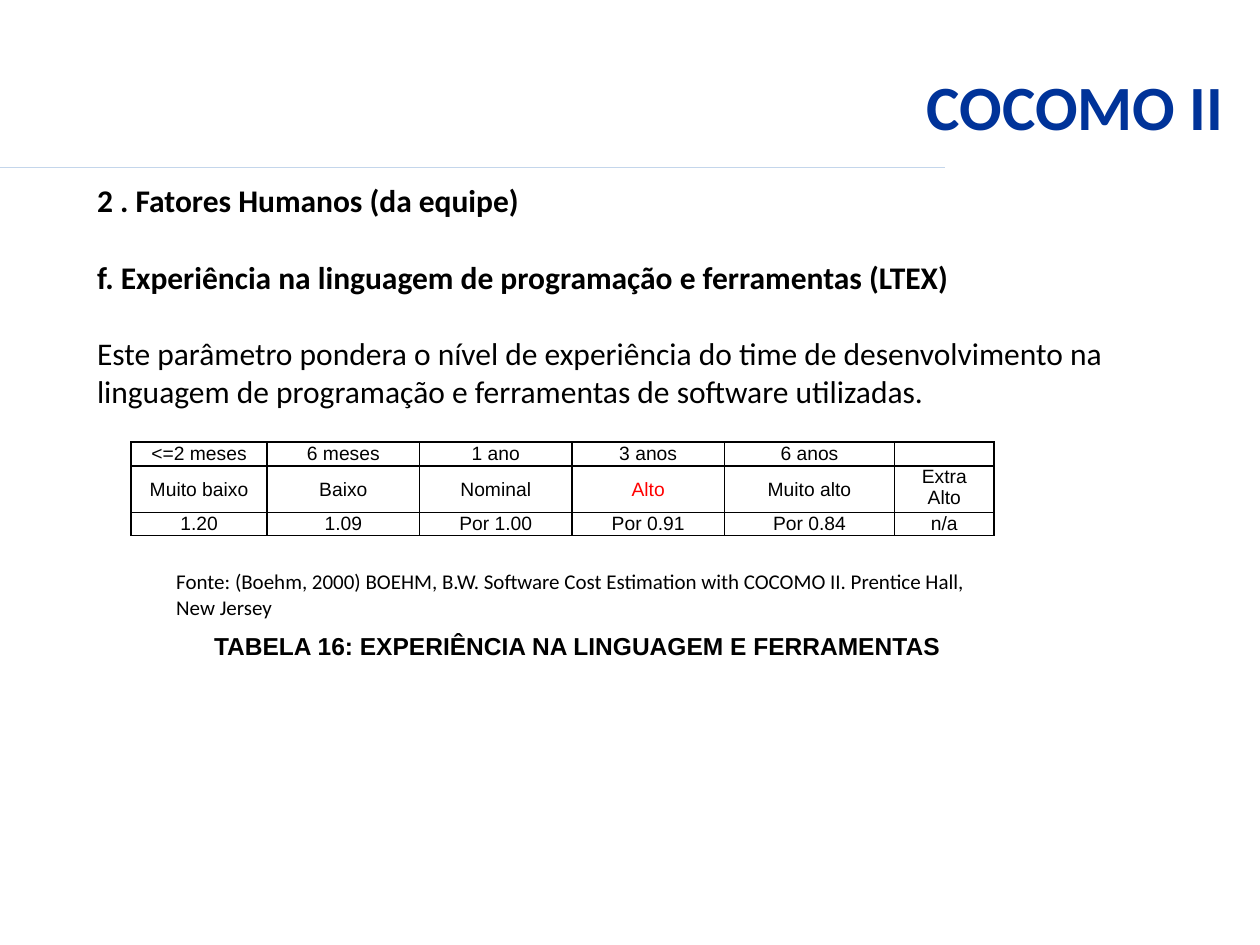
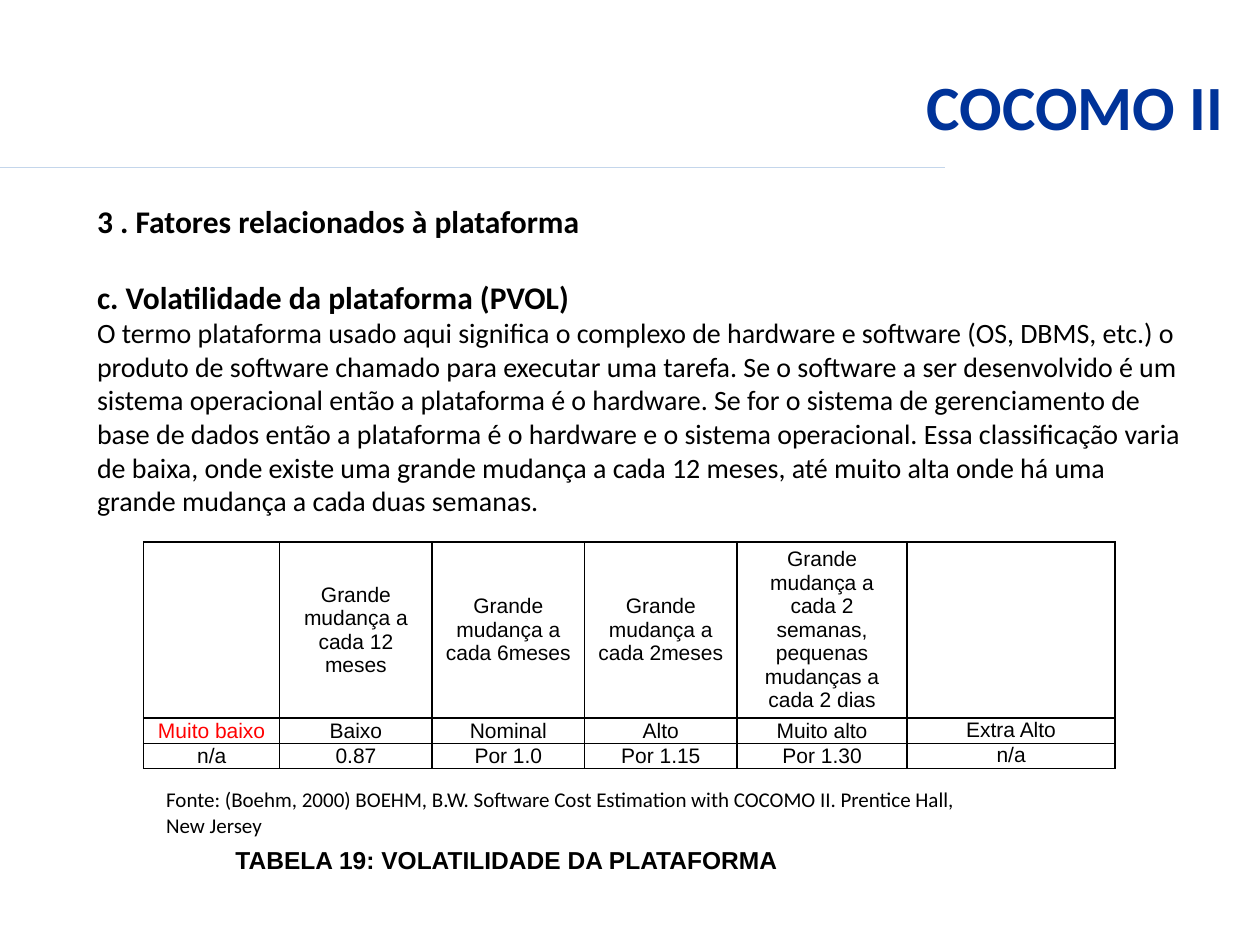
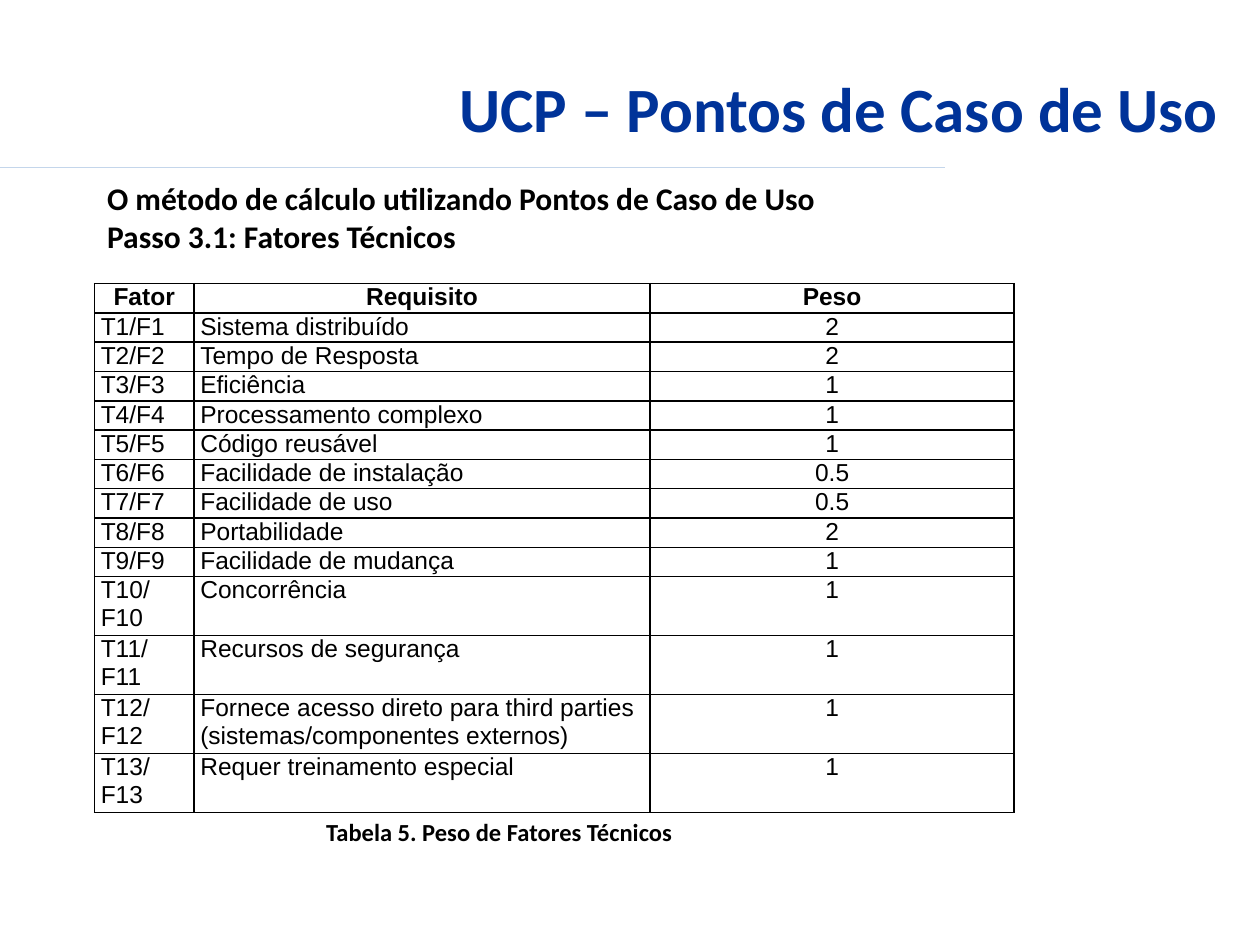
from lxml import etree
from pptx import Presentation
from pptx import util as u
from pptx.dml.color import RGBColor
from pptx.enum import shapes, text
from pptx.oxml import ns

COLORS = {"ink": "000000", "title": "003399", "rule": "C4D6EB", "accent": "FF0000"}
WIDTH, HEIGHT = u.Inches(10), u.Inches(7.5)
UNIT = WIDTH // 100  # the slide is a grid of 100 columns by 75 rows
HEAD, BODY = "Calibri", "Arial"
LEFT, CENTER, RIGHT = text.PP_ALIGN.LEFT, text.PP_ALIGN.CENTER, text.PP_ALIGN.RIGHT
TOP, MIDDLE = text.MSO_ANCHOR.TOP, text.MSO_ANCHOR.MIDDLE
TITLE_BOX = (6.7, 2.1, 91.4, 12.5)
SOURCE = ("Fonte: (Boehm, 2000) BOEHM, B.W. Software Cost Estimation with "
          "COCOMO II. Prentice Hall, New Jersey")


def grid(*values):
    return [round(v * UNIT) for v in values]


def place(s, box):
    s.left, s.top, s.width, s.height = grid(*box)


def sub(parent, tag, **attrs):
    return etree.SubElement(parent, ns.qn(tag), attrs)


def write(tf, content, size=18, font=HEAD, color="ink", bold=False, align=LEFT, before=0):
    """Fill a frame; each paragraph is a string or (string, overrides)."""
    paragraphs = [content] if isinstance(content, str) else content
    for i, item in enumerate(paragraphs):
        line, changes = (item, {}) if isinstance(item, str) else item
        fmt = {"size": size, "bold": bold, "before": before, **changes}
        p = tf.add_paragraph() if i else tf.paragraphs[0]
        pPr = p._p.get_or_add_pPr()
        pPr.set("marL", "0")
        pPr.set("indent", "0")
        p.alignment, p.space_before = align, u.Pt(fmt["before"])
        sub(pPr, "a:buNone")
        if not line:
            sub(p._p, "a:endParaRPr", sz=str(size * 100))
            continue
        r = p.add_run()
        r.text = line
        r.font.name, r.font.size, r.font.bold = font, u.Pt(fmt["size"]), fmt["bold"]
        r.font.color.rgb = RGBColor.from_string(COLORS[color])


def add_page(prs, title, body, body_box, title_box=TITLE_BOX):
    s = prs.slides.add_slide(prs.slide_layouts[1])
    x1, y, x2 = grid(0, 13.3, 75)
    rule = s.shapes.add_connector(shapes.MSO_CONNECTOR.STRAIGHT, x1, y, x2, y)
    rule.line.color.rgb = RGBColor.from_string(COLORS["rule"])
    rule.line.width = u.Pt(0.75)
    sub(rule._element.spPr, "a:effectLst")
    for sp, box, anchor in ((s.shapes.title, title_box, MIDDLE),
                            (s.placeholders[1], body_box, TOP)):
        place(sp, box)
        sp.text_frame.auto_size = text.MSO_AUTO_SIZE.NONE
        sp.text_frame.vertical_anchor = anchor
    write(s.shapes.title.text_frame, title, size=36, color="title", bold=True, align=RIGHT)
    write(s.placeholders[1].text_frame, body)
    return s


def add_note(s, content, box, wrap=False, anchor=MIDDLE, **fmt):
    tf = s.shapes.add_textbox(*grid(*box)).text_frame
    tf.word_wrap, tf.vertical_anchor = wrap, anchor
    tf.auto_size = text.MSO_AUTO_SIZE.SHAPE_TO_FIT_TEXT
    write(tf, content, **fmt)


def add_source(s, left, top):
    add_note(s, SOURCE, (left, top, 66.1, 5.1), wrap=True, size=12)


def border(cell):
    tcPr = cell._tc.get_or_add_tcPr()
    for side in ("a:lnL", "a:lnR", "a:lnT", "a:lnB"):
        ln = sub(tcPr, side, w=str(u.Pt(1)))
        sub(sub(ln, "a:solidFill"), "a:srgbClr", val=COLORS["ink"])


def add_grid_table(s, rows, left, top, widths, heights, style):
    """style(row, column, value) gives the anchor and text format of a cell."""
    box = grid(left, top, sum(widths), sum(heights))
    table = s.shapes.add_table(len(rows), len(widths), *box).table
    table.first_row = table.horz_banding = False
    for column, w in zip(table.columns, grid(*widths)):
        column.width = w
    for row, h in zip(table.rows, grid(*heights)):
        row.height = h
    for i, values in enumerate(rows):
        for j, value in enumerate(values):
            cell = table.cell(i, j)
            margin, anchor, fmt = style(i, j, value)
            cell.margin_left = cell.margin_right = u.Inches(margin)
            cell.margin_top = cell.margin_bottom = 0
            cell.vertical_anchor = anchor
            border(cell)
            cell.fill.background()
            write(cell.text_frame, value.split("\n"), font=BODY, **fmt)


def rating_style(size, chosen):
    def style(i, j, value):
        color = "accent" if value == chosen else "ink"
        anchor = TOP if j == 5 else MIDDLE
        return 0.07, anchor, {"size": size, "color": color, "align": CENTER}
    return style


def factor_style(i, j, value):
    align = CENTER if i == 0 or j == 2 else LEFT
    return 0.05, TOP, {"size": 14, "bold": i == 0, "align": align}


RATING_WIDTHS = [10.8, 12.1, 12.1, 12.1, 13.5]
EXPERIENCE = [
    ["<=2 meses", "6 meses", "1 ano", "3 anos", "6 anos", ""],
    ["Muito baixo", "Baixo", "Nominal", "Alto", "Muito alto", "Extra Alto"],
    ["1.20", "1.09", "Por 1.00", "Por 0.91", "Por 0.84", "n/a"],
]
VOLATILITY = [
    ["", "Grande mudança a cada 12 meses", "Grande mudança a cada 6meses",
     "Grande mudança a cada 2meses",
     "Grande mudança a cada 2 semanas, pequenas mudanças a cada 2 dias", ""],
    ["Muito baixo", "Baixo", "Nominal", "Alto", "Muito alto", "Extra Alto"],
    ["n/a", "0.87", "Por 1.0", "Por 1.15", "Por 1.30", "n/a"],
]
FACTORS = [
    ("Sistema distribuído", "2"), ("Tempo de Resposta", "2"), ("Eficiência", "1"),
    ("Processamento complexo", "1"), ("Código reusável", "1"),
    ("Facilidade de instalação", "0.5"), ("Facilidade de uso", "0.5"),
    ("Portabilidade", "2"), ("Facilidade de mudança", "1"), ("Concorrência", "1"),
    ("Recursos de segurança", "1"),
    ("Fornece acesso direto para third parties\n(sistemas/componentes externos)", "1"),
    ("Requer treinamento especial", "1"),
]
HEADING = {"bold": True}
SPACED = {"before": 22}


def experience_slide(prs):
    s = add_page(prs, "COCOMO II", [
        ("2 . Fatores Humanos (da equipe)", HEADING),
        ("f. Experiência na linguagem de programação e ferramentas (LTEX)", HEADING | SPACED),
        ("Este parâmetro pondera o nível de experiência do time de desenvolvimento na "
         "linguagem de programação e ferramentas de software utilizadas.", SPACED),
    ], (6.7, 13.9, 88.2, 19.2))
    add_grid_table(s, EXPERIENCE, 10.4, 35.1, RATING_WIDTHS + [7.9], [1.8, 3.7, 1.8],
                   rating_style(11, "Alto"))
    add_note(s, "TABELA 16: EXPERIÊNCIA NA LINGUAGEM E FERRAMENTAS", (16, 49.6, 60.1, 3.4),
             anchor=TOP, size=14, font=BODY, bold=True)
    add_source(s, 13, 44.6)


def volatility_slide(prs):
    s = add_page(prs, "COCOMO II", [
        ("3 . Fatores relacionados à plataforma", HEADING),
        ("c. Volatilidade da plataforma (PVOL)", HEADING | SPACED),
        ("O termo plataforma usado aqui significa o complexo de hardware e software "
         "(OS, DBMS, etc.) o produto de software chamado para executar uma tarefa. "
         "Se o software a ser desenvolvido é um sistema operacional então a plataforma "
         "é o hardware. Se for o sistema de gerenciamento de base de dados então a "
         "plataforma é o hardware e o sistema operacional. Essa classificação varia de "
         "baixa, onde existe uma grande mudança a cada 12 meses, até muito alta onde há "
         "uma grande mudança a cada duas semanas.", {"size": 16}),
    ], (6.7, 15.5, 88.2, 26.3))
    add_grid_table(s, VOLATILITY, 11.4, 43, RATING_WIDTHS + [16.5], [14, 2, 2],
                   rating_style(12, "Muito baixo"))
    add_note(s, "TABELA 19: VOLATILIDADE DA PLATAFORMA", (17.7, 66.6, 45.8, 3.4),
             anchor=TOP, size=14, font=BODY, bold=True)
    add_source(s, 12.2, 61.9)


def factors_slide(prs):
    s = add_page(prs, "UCP – Pontos de Caso de Uso", [
        ("O método de cálculo utilizando Pontos de Caso de Uso", HEADING),
        ("Passo 3.1: Fatores Técnicos", HEADING),
    ], (7.5, 13.7, 88.2, 7.1), title_box=(6.3, 5, 91.4, 7.1))
    rows = [("Fator", "Requisito", "Peso")]
    rows += [(f"T{n}/F{n}", *factor) for n, factor in enumerate(FACTORS, 1)]
    add_grid_table(s, rows, 7.5, 22.5, [7.9, 36.2, 28.9], [2.33] * 10 + [4.68] * 4,
                   factor_style)
    add_note(s, "Tabela 5. Peso de Fatores Técnicos", (24.9, 64.3, 34.9, 3.4),
             size=14, bold=True)


def main():
    prs = Presentation()
    prs.slide_width, prs.slide_height = WIDTH, HEIGHT
    for build in (experience_slide, volatility_slide, factors_slide):
        build(prs)
    prs.save("out.pptx")


if __name__ == "__main__":
    main()
